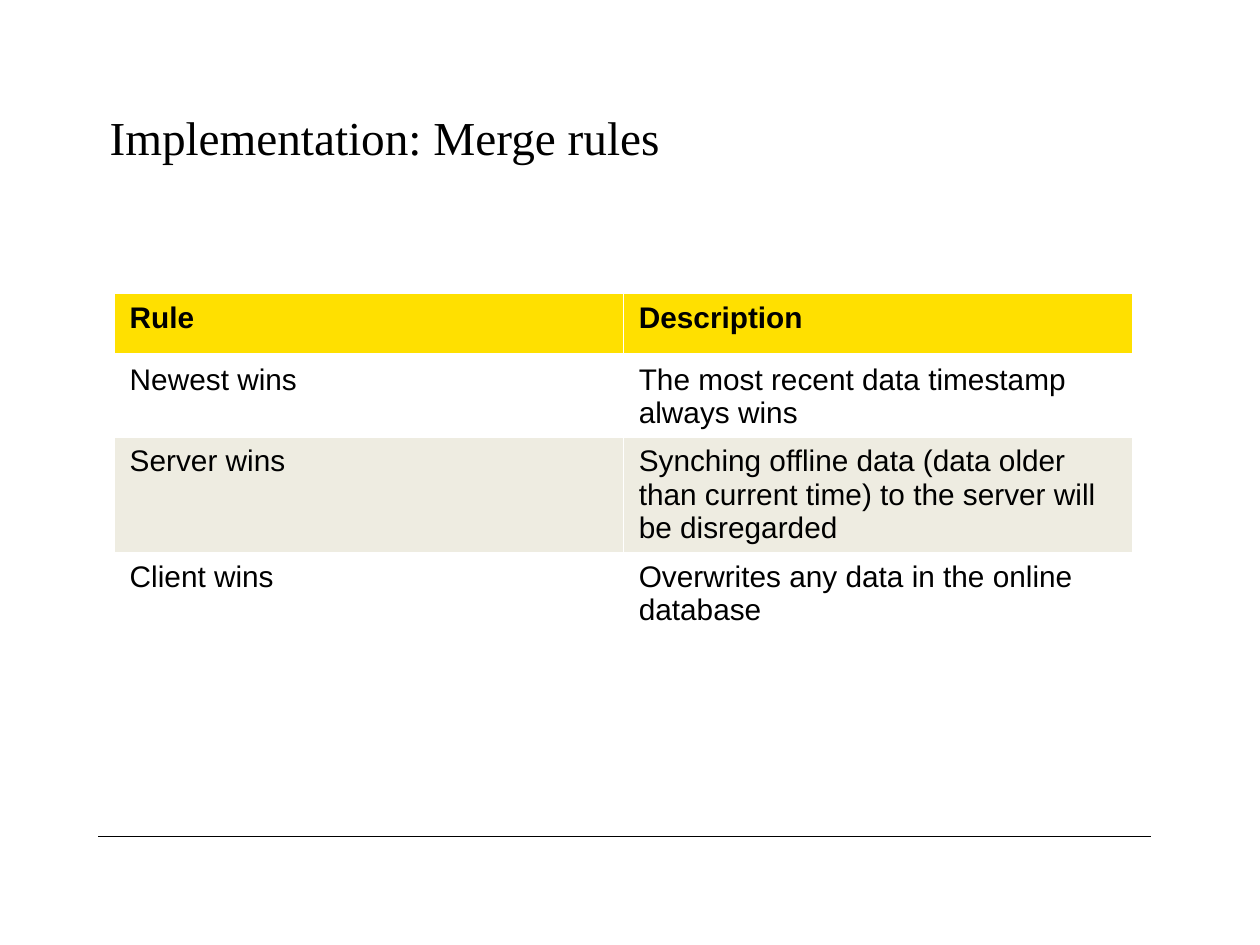
from lxml.etree import SubElement
from pptx import Presentation
from pptx.dml.color import RGBColor
from pptx.enum.shapes import MSO_CONNECTOR
from pptx.enum.text import MSO_ANCHOR, PP_ALIGN
from pptx.oxml.ns import qn
from pptx.util import Pt

TITLE = "Implementation: Merge rules"
ROWS = [
    ("Rule", "Description"),
    ("Newest wins", "The most recent data timestamp always wins"),
    ("Server wins", "Synching offline data (data older than current time) "
                    "to the server will be disregarded"),
    ("Client wins", "Overwrites any data in the online database"),
]
HEADER_FILL, BAND_FILLS = "FFE000", ("EEECE1", "FFFFFF")
TABLE_LEFT, TABLE_TOP, COL_WIDTH, ROW_HEIGHT = 65.5, 167.8, 290.9, 35.3
TITLE_BOX = {"left": 55.4, "top": 63.4, "width": 601.9, "height": 59.8}
TITLE_FONT = {"name": "Times New Roman", "size": Pt(27), "bold": False}
CELL_FONT = {"name": "Arial", "size": Pt(17)}
CELL_FORMAT = {"margin_left": Pt(8.64), "margin_right": Pt(8.64),
               "margin_top": Pt(4.32), "margin_bottom": Pt(4.32),
               "vertical_anchor": MSO_ANCHOR.TOP}


def rgb(value):
    return RGBColor.from_string(value)


def set_attrs(target, values):
    for name, value in values.items():
        setattr(target, name, value)


def style_font(font, values):
    set_attrs(font, values)
    font.color.rgb = rgb("000000")


def add_borders(cell, bottom_width):
    tc_pr = cell._tc.get_or_add_tcPr()
    widths = {"a:lnL": 1, "a:lnR": 1, "a:lnT": 1, "a:lnB": bottom_width}
    for tag, width in widths.items():
        line = SubElement(tc_pr, qn(tag), w=str(Pt(width)))
        fill = SubElement(line, qn("a:solidFill"))
        SubElement(fill, qn("a:srgbClr"), val="FFFFFF")


def add_title(s):
    title = s.shapes.title
    set_attrs(title, {name: Pt(value) for name, value in TITLE_BOX.items()})
    tf = title.text_frame
    tf.text = TITLE
    set_attrs(tf, {"word_wrap": True, "vertical_anchor": MSO_ANCHOR.TOP})
    p = tf.paragraphs[0]
    set_attrs(p, {"alignment": PP_ALIGN.LEFT, "line_spacing": Pt(27)})
    style_font(p.runs[0].font, TITLE_FONT)


def add_rule_table(s):
    table = s.shapes.add_table(
        len(ROWS), len(ROWS[0]), Pt(TABLE_LEFT), Pt(TABLE_TOP),
        Pt(COL_WIDTH * len(ROWS[0])), Pt(ROW_HEIGHT * len(ROWS))).table
    for i, row in enumerate(ROWS):
        header = i == 0
        for j, text in enumerate(row):
            cell = table.cell(i, j)
            cell.text = text
            set_attrs(cell, CELL_FORMAT)
            style_font(cell.text_frame.paragraphs[0].runs[0].font,
                       {**CELL_FONT, "bold": header})
            add_borders(cell, 3 if header else 1)
            cell.fill.solid()
            cell.fill.fore_color.rgb = rgb(HEADER_FILL if header else BAND_FILLS[i % 2])


def add_footer_line(s):
    line = s.shapes.add_connector(
        MSO_CONNECTOR.STRAIGHT, Pt(56.2), Pt(478), Pt(658), Pt(478))
    line.line.width = Pt(0.5)
    line.line.color.rgb = rgb("000000")
    SubElement(line._element.spPr, qn("a:effectLst"))


def main():
    prs = Presentation()
    prs.slide_width, prs.slide_height = Pt(720), Pt(540)
    s = prs.slides.add_slide(prs.slide_layouts[5])
    add_footer_line(s)
    add_title(s)
    add_rule_table(s)
    prs.save("out.pptx")


if __name__ == "__main__":
    main()
